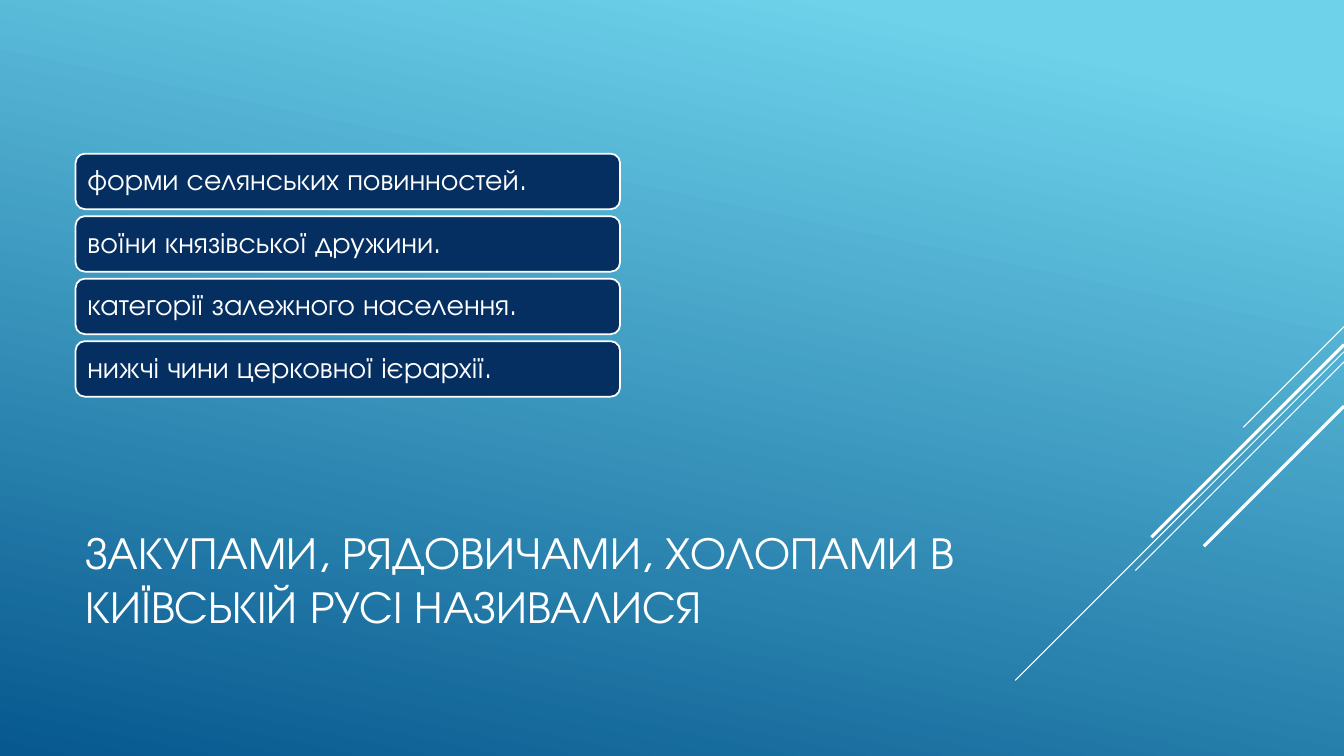
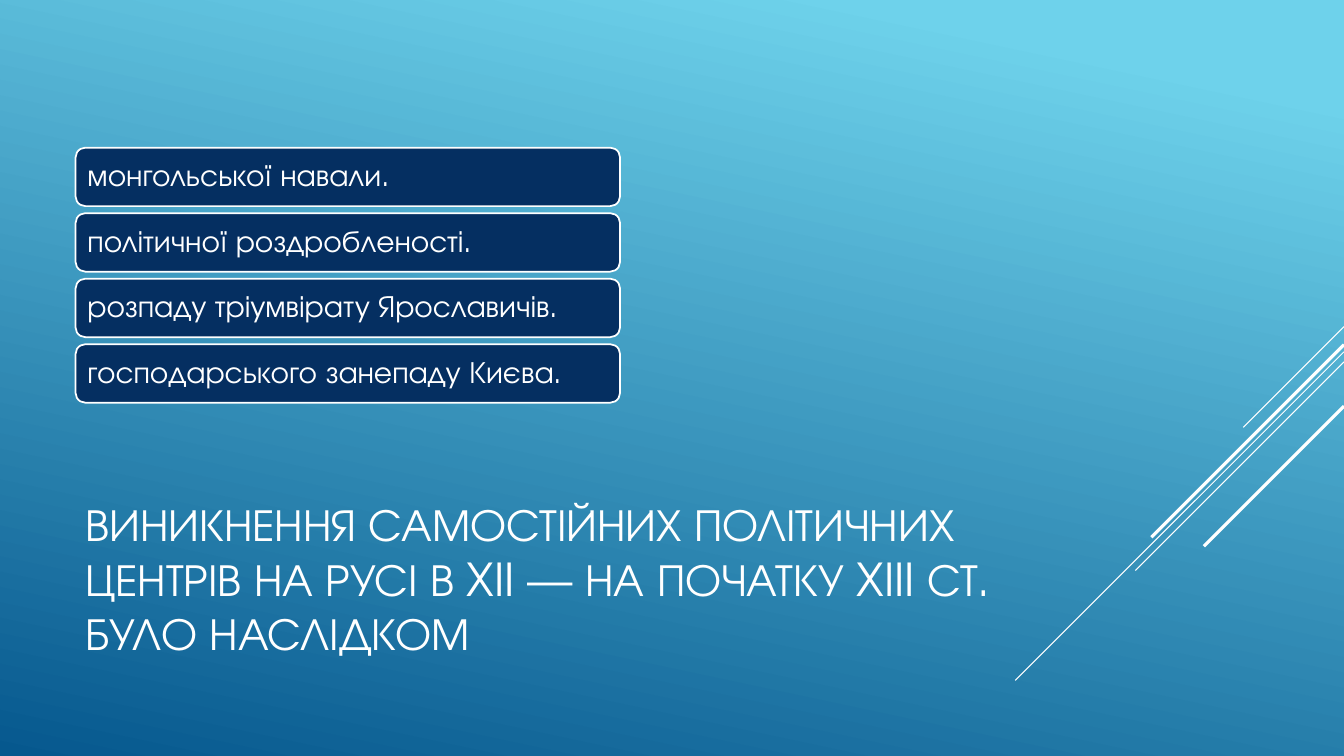
from lxml import etree
from pptx import Presentation
from pptx.dml.color import RGBColor
from pptx.enum.shapes import MSO_CONNECTOR, MSO_SHAPE
from pptx.enum.text import MSO_ANCHOR, PP_ALIGN
from pptx.oxml.ns import qn
from pptx.util import Inches, Pt

STRAIGHT = MSO_CONNECTOR.STRAIGHT
ROUNDED = MSO_SHAPE.ROUNDED_RECTANGLE
MIDDLE = MSO_ANCHOR.MIDDLE
LEFT = PP_ALIGN.LEFT

COLORS = {"sky": "6ED2EB", "deep": "06588E", "navy": "052F61", "white": "FFFFFF"}
FONT = "TeX Gyre Adventor"
SLIDE_W, SLIDE_H = 13.33, 7.5
MARGIN = 0.75
TITLE_TOP, TITLE_W, TITLE_H = 4.91, 9.33, 1.65
ANSWER_W, ANSWER_GAP, ANSWERS_MIDDLE = 5.4, 0.07, 2.73

RAYS = [
    (3.24, 1.0, 0.75),
    (3.49, 3.26, 0.75),
    (3.59, 2.07, 0.75),
    (3.42, 1.91, 2.25),
    (4.03, 1.39, 2.25),
]

QUESTIONS = [
    {
        "title": "ЗАКУПАМИ, РЯДОВИЧАМИ, ХОЛОПАМИ В КИЇВСЬКІЙ РУСІ НАЗИВАЛИСЯ",
        "answers": [
            "форми селянських повинностей.",
            "воїни князівської дружини.",
            "категорії залежного населення.",
            "нижчі чини церковної ієрархії.",
        ],
        "height": 0.55,
        "size": 21,
    },
    {
        "title": "ВИНИКНЕННЯ САМОСТІЙНИХ ПОЛІТИЧНИХ ЦЕНТРІВ НА РУСІ В XII — НА ПОЧАТКУ XIII СТ. БУЛО НАСЛІДКОМ",
        "answers": [
            "монгольської навали.",
            "політичної роздробленості.",
            "розпаду тріумвірату Ярославичів.",
            "господарського занепаду Києва.",
        ],
        "height": 0.58,
        "size": 22,
    },
]


def rgb(name):
    return RGBColor.from_string(COLORS[name])


def set_all(target, values):
    for name, value in values.items():
        setattr(target, name, value)


def write(shape, text, size, frame, paragraph):
    tf = shape.text_frame
    set_all(tf, {"word_wrap": True, "vertical_anchor": MIDDLE, **frame})
    p = tf.paragraphs[0]
    set_all(p, {"alignment": LEFT, **paragraph})
    r = p.add_run()
    r.text = text
    set_all(r.font, {"name": FONT, "size": Pt(size)})
    r.font.color.rgb = rgb("white")


def paint_background(s):
    fill = s.background.fill
    fill.gradient()
    fill.gradient_angle = 258
    for stop, (position, color) in zip(fill.gradient_stops, [(0.1, "sky"), (1, "deep")]):
        stop.position = position
        stop.color.rgb = rgb(color)


def add_ray(s, top, run, weight):
    line = s.shapes.add_connector(
        STRAIGHT, Inches(SLIDE_W), Inches(top), Inches(SLIDE_W - run), Inches(top + run)
    )
    line.line.color.rgb = rgb("white")
    line.line.width = Pt(weight)
    etree.SubElement(line._element.spPr, qn("a:effectLst"))


def add_title(s, text):
    box = s.shapes.add_textbox(
        Inches(MARGIN), Inches(TITLE_TOP), Inches(TITLE_W), Inches(TITLE_H)
    )
    write(box, text, 32.4, {}, {})


def add_answer(s, text, top, height, size):
    sp = s.shapes.add_shape(
        ROUNDED, Inches(MARGIN), Inches(top), Inches(ANSWER_W), Inches(height)
    )
    sp.shadow.inherit = False
    sp.fill.solid()
    sp.fill.fore_color.rgb = rgb("navy")
    sp.line.color.rgb = rgb("white")
    sp.line.width = Pt(1.25)
    frame = {"margin_left": Inches(0.09), "margin_right": Inches(0.09)}
    write(sp, text, size, frame, {"line_spacing": 0.9})


def add_answers(s, answers, height, size):
    pitch = height + ANSWER_GAP
    top = ANSWERS_MIDDLE - (len(answers) * pitch - ANSWER_GAP) / 2
    for i, text in enumerate(answers):
        add_answer(s, text, top + i * pitch, height, size)


def add_question(prs, question):
    s = prs.slides.add_slide(prs.slide_layouts[6])
    paint_background(s)
    for ray in RAYS:
        add_ray(s, *ray)
    add_title(s, question["title"])
    add_answers(s, question["answers"], question["height"], question["size"])


def main():
    prs = Presentation()
    prs.slide_width, prs.slide_height = Inches(SLIDE_W), Inches(SLIDE_H)
    for question in QUESTIONS:
        add_question(prs, question)
    prs.save("out.pptx")


if __name__ == "__main__":
    main()
